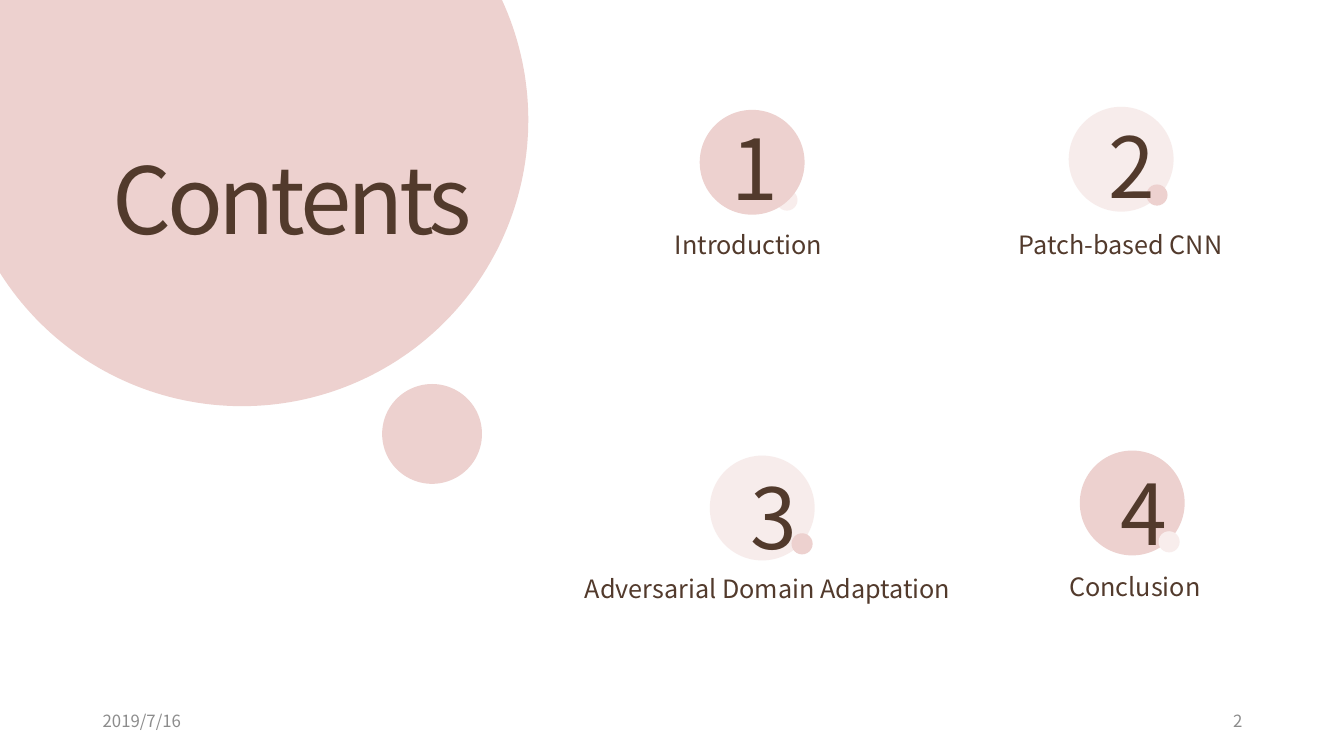
import math
from dataclasses import dataclass

from lxml import etree
from pptx import Presentation
from pptx import util as u
from pptx.dml.color import RGBColor
from pptx.enum import shapes, text
from pptx.oxml import ns

BROWN = RGBColor(0x52, 0x3A, 0x2C)
GREY = RGBColor(0x8C, 0x8C, 0x8C)
PINK = RGBColor(0xED, 0xD1, 0xCF)
PALE = RGBColor(0xF8, 0xED, 0xEC)
MIST = RGBColor(0xF6, 0xE8, 0xE7)
FONT = "Noto Sans CJK SC"
DISC, DOT = 1.04, 0.21
ALIGN = text.PP_ALIGN
ANCHOR = text.MSO_ANCHOR


@dataclass
class Box:
    left: float
    top: float
    width: float
    height: float

    def emu(self) -> list[u.Length]:
        return [u.Inches(n) for n in (self.left, self.top, self.width, self.height)]


@dataclass
class Topic:
    label: str
    disc: tuple[float, float]
    dot: tuple[float, float]
    digit: tuple[float, float]
    place: Box
    tint: RGBColor
    spot: RGBColor
    wrap: bool = False
    under: bool = False  # dot lies beneath the disc


TOPICS = [
    Topic("Introduction", (6.94, 1.09), (7.7, 1.88), (7.16, 1.13),
          Box(6.58, 2.23, 1.69, 0.4), PINK, PALE, under=True),
    Topic("Patch-based CNN", (10.6, 1.06), (11.37, 1.83), (10.9, 1.11),
          Box(9.9, 2.23, 2.43, 0.4), MIST, PINK),
    Topic("Adversarial Domain Adaptation", (7.04, 4.52), (7.85, 5.29), (7.35, 4.59),
          Box(5.58, 5.64, 4.07, 0.4), MIST, PINK),
    Topic("Conclusion", (10.71, 4.47), (11.49, 5.27), (11.02, 4.55),
          Box(10.3, 5.62, 1.91, 0.41), PINK, PALE, wrap=True),
]


def paint(shape, color: RGBColor) -> None:
    shape.shadow.inherit = False
    shape.fill.solid()
    shape.fill.fore_color.rgb = color
    shape.line.fill.background()
    if color == MIST:  # the mist tint is 80 % opaque
        tint = shape.element.spPr.find(ns.qn("a:solidFill"))[0]
        etree.SubElement(tint, ns.qn("a:alpha")).set("val", "80000")


def add_disc(slide, spot: tuple[float, float], size: float, color: RGBColor) -> None:
    box = Box(*spot, size, size)
    paint(slide.shapes.add_shape(shapes.MSO_SHAPE.OVAL, *box.emu()), color)


def add_text(slide, words: str, box: Box, size: float, color: RGBColor = BROWN,
             align=ALIGN.CENTER, anchor=ANCHOR.MIDDLE, wrap: bool = True):
    frame = slide.shapes.add_textbox(*box.emu()).text_frame
    frame.text = words
    frame.word_wrap = wrap
    frame.vertical_anchor = anchor
    line = frame.paragraphs[0]
    line.alignment = align
    run = line.runs[0]
    run.font.name = FONT
    run.font.size = u.Pt(size)
    run.font.color.rgb = color
    return run


def add_bubble(slide, mid: tuple[float, float], radius: float) -> None:
    """Draw the large circle, cut off at the slide's top and left edges."""
    x, y = mid
    start = -math.asin(y / radius)
    end = math.acos(-x / radius)
    steps = 120
    turns = [start + (end - start) * i / steps for i in range(steps + 1)]
    rim = [(u.Inches(x + radius * math.cos(t)), u.Inches(y + radius * math.sin(t)))
           for t in turns]
    form = slide.shapes.build_freeform(0, 0, scale=1.0)
    form.add_line_segments(rim, close=True)
    paint(form.convert_to_shape(), PINK)


def add_topic(slide, topic: Topic, rank: int) -> None:
    discs = [(topic.disc, DISC, topic.tint), (topic.dot, DOT, topic.spot)]
    for disc in reversed(discs) if topic.under else discs:
        add_disc(slide, *disc)
    add_text(slide, str(rank), Box(*topic.digit, 0.47, 1.05), 60)
    add_text(slide, topic.label, topic.place, 18, anchor=ANCHOR.TOP, wrap=topic.wrap)


def main() -> None:
    deck = Presentation()
    deck.slide_width, deck.slide_height = u.Inches(13.33), u.Inches(7.5)
    slide = deck.slides.add_slide(deck.slide_layouts[6])

    # Footer
    add_text(slide, "2019/7/16", Box(0.92, 6.95, 3, 0.4), 12, GREY, ALIGN.LEFT)
    add_text(slide, "2", Box(9.42, 6.95, 3, 0.4), 12, GREY, ALIGN.RIGHT)

    # Topics
    for rank, topic in enumerate(TOPICS, 1):
        add_topic(slide, topic, rank)

    # Title bubble
    add_disc(slide, (3.79, 3.81), 0.99, PINK)
    add_bubble(slide, (2.4, 1.19), 2.84)
    title = add_text(slide, "Contents", Box(-0.07, 1.5, 5.94, 0.93), 66)
    title.font._element.set("spc", "-300")  # tighter letters

    deck.save("out.pptx")


if __name__ == "__main__":
    main()
